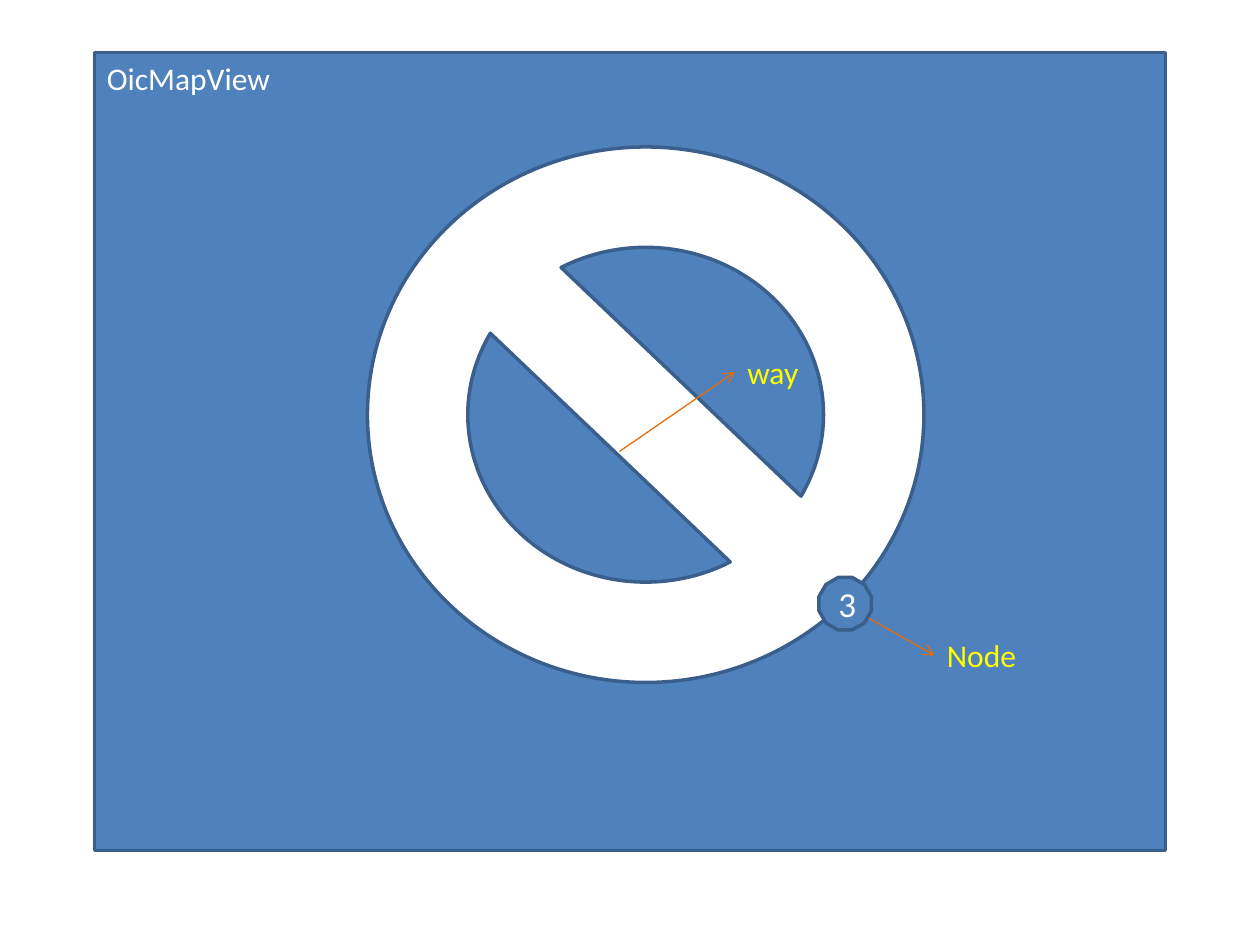
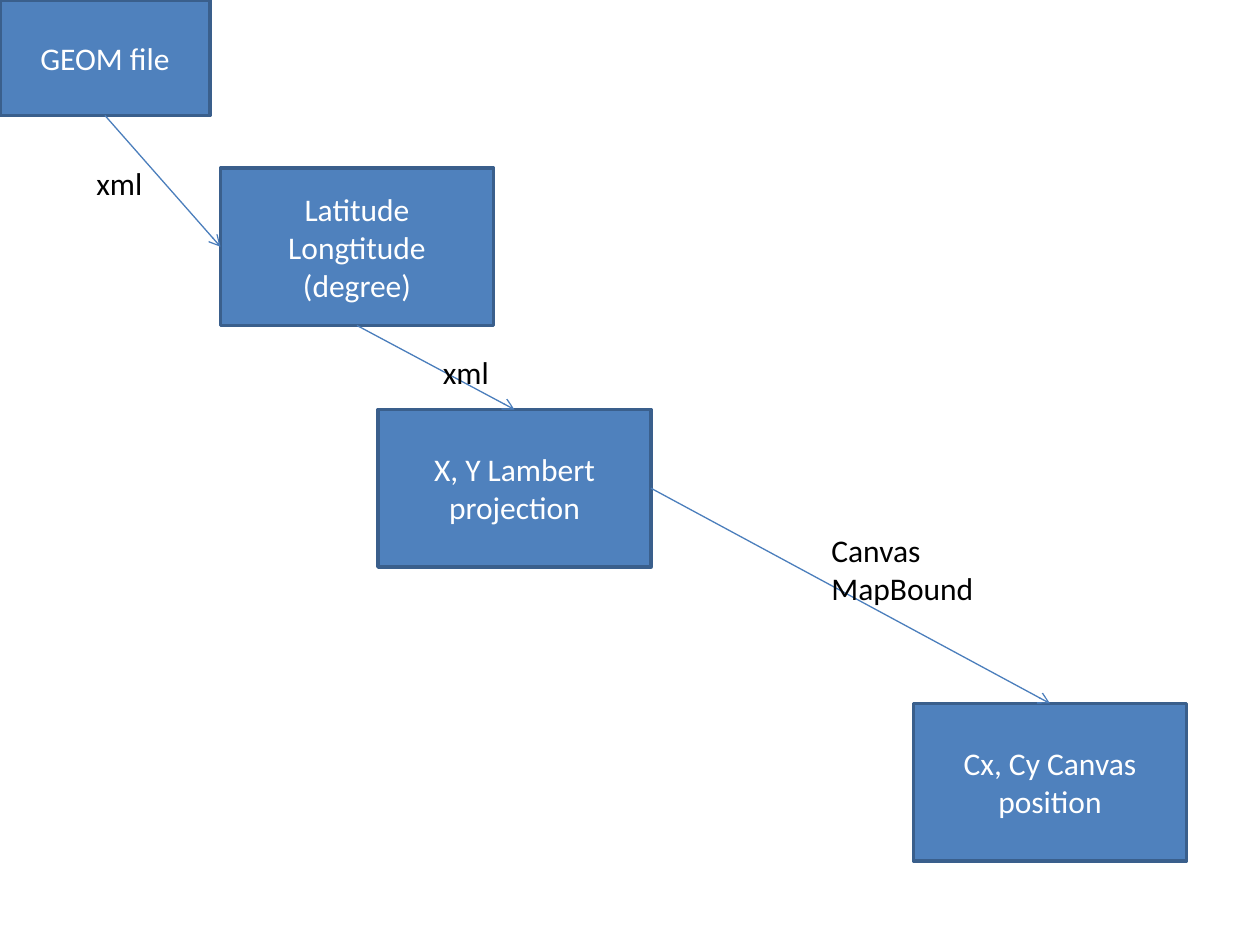
from lxml import etree
from pptx import Presentation
from pptx.dml.color import RGBColor
from pptx.enum import shapes, text
from pptx.oxml import ns
from pptx.util import Pt

# Shared colours and type sizes
THEME = {
    "blue": RGBColor.from_string("4F81BD"),
    "outline": RGBColor.from_string("3A5F8C"),
    "flow": RGBColor.from_string("4B7EBC"),
    "pointer": RGBColor.from_string("E46C0A"),
    "white": RGBColor.from_string("FFFFFF"),
    "yellow": RGBColor.from_string("FFFF00"),
    "black": RGBColor.from_string("000000"),
    "font": "Calibri", "body": 18, "number": 20, "border": 2, "arrow": 0.75,
}
KIND = shapes.MSO_SHAPE
TOP, LEFT, BOTTOM, RIGHT = range(4)  # connection sites of a rectangle
CENTRED = {"anchor": text.MSO_ANCHOR.MIDDLE, "align": text.PP_ALIGN.CENTER}
CORNER = {"anchor": text.MSO_ANCHOR.TOP, "align": text.PP_ALIGN.LEFT}


def place(slide, box, words="", kind=None, fill="blue", color="white",
          size="body", layout=CENTRED):
    """Add a preset shape, or a plain label when no kind is given."""
    frame = [Pt(v) for v in box]
    if kind is None:
        item = slide.shapes.add_textbox(*frame)
    else:
        item = slide.shapes.add_shape(kind, *frame)
        item.shadow.inherit = False
        item.fill.solid()
        item.fill.fore_color.rgb = THEME[fill]
        item.line.color.rgb = THEME["outline"]
        item.line.width = Pt(THEME["border"])
    if words:
        body = item.text_frame
        body.text = words
        body.word_wrap = kind is not None
        body.vertical_anchor = layout["anchor"]
        if kind is None:
            body.auto_size = text.MSO_AUTO_SIZE.SHAPE_TO_FIT_TEXT
        for paragraph in body.paragraphs:
            paragraph.alignment = layout["align"]
            style = {"name": THEME["font"], "size": Pt(THEME[size])}
            for run in paragraph.runs:
                for key, value in style.items():
                    setattr(run.font, key, value)
                run.font.color.rgb = THEME[color]
    return item


def draw_arrow(slide, color, ends=(0, 0, 0, 0)):
    """Add a thin straight line with an open arrowhead at its end."""
    arrow = slide.shapes.add_connector(
        shapes.MSO_CONNECTOR.STRAIGHT, *[Pt(v) for v in ends])
    arrow.line.color.rgb = THEME[color]
    arrow.line.width = Pt(THEME["arrow"])
    etree.SubElement(arrow.line._get_or_add_ln(), ns.qn("a:tailEnd"), type="arrow")
    etree.SubElement(arrow._element.spPr, ns.qn("a:effectLst"))
    return arrow


deck = Presentation()
deck.slide_width, deck.slide_height = Pt(720), Pt(540)
blank = deck.slide_layouts[6]

# Slide 1: map view with a way and a node
map_slide = deck.slides.add_slide(blank)
place(map_slide, (54, 30, 612, 456), "OicMapView", KIND.RECTANGLE, layout=CORNER)
place(map_slide, (210, 84, 318, 306), kind=KIND.NO_SYMBOL, fill="white")
for name, ends, label_box in [
    ("Node", (482, 345, 534, 374.5), (534, 360, 54.5, 29)),
    ("way", (354, 258, 420, 212.5), (420, 198, 44, 29)),
]:
    draw_arrow(map_slide, "pointer", ends)
    place(map_slide, label_box, name, color="yellow", layout=CORNER)
place(map_slide, (468, 330, 30, 30), "3", KIND.DODECAGON, size="number")

# Slide 2: steps from file to canvas
flow_slide = deck.slides.add_slide(blank)
step_size = (156, 90)
source_file, degrees, lambert, canvas = [
    place(flow_slide, corner + size, words, KIND.RECTANGLE)
    for corner, size, words in [
        ((0, 0), (120, 66), "GEOM file"),
        ((126, 96), step_size, "Latitude\nLongtitude\n(degree)"),
        ((216, 234), step_size, "X, Y Lambert projection"),
        ((522, 402), step_size, "Cx, Cy Canvas position"),
    ]
]

# Conversions between the steps
for start, start_site, end, end_site, words, label_box in [
    (source_file, BOTTOM, degrees, LEFT, "xml", (48, 90, 41, 29)),
    (degrees, BOTTOM, lambert, TOP, "xml", (246, 198, 41, 29)),
    (lambert, RIGHT, canvas, TOP, "Canvas\nMapBound", (468, 300, 96, 51)),
]:
    arrow = draw_arrow(flow_slide, "flow")
    arrow.begin_connect(start, start_site)
    arrow.end_connect(end, end_site)
    place(flow_slide, label_box, words, color="black", layout=CORNER)

deck.save("out.pptx")
